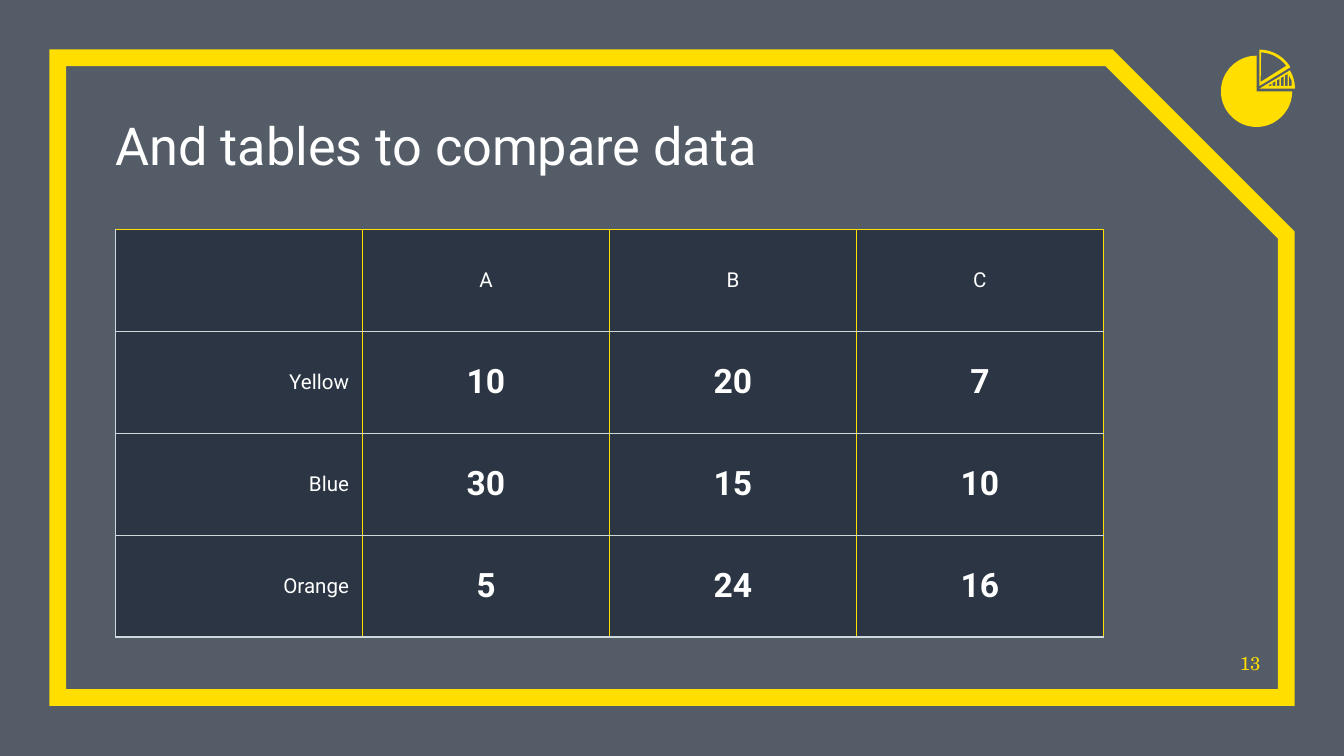
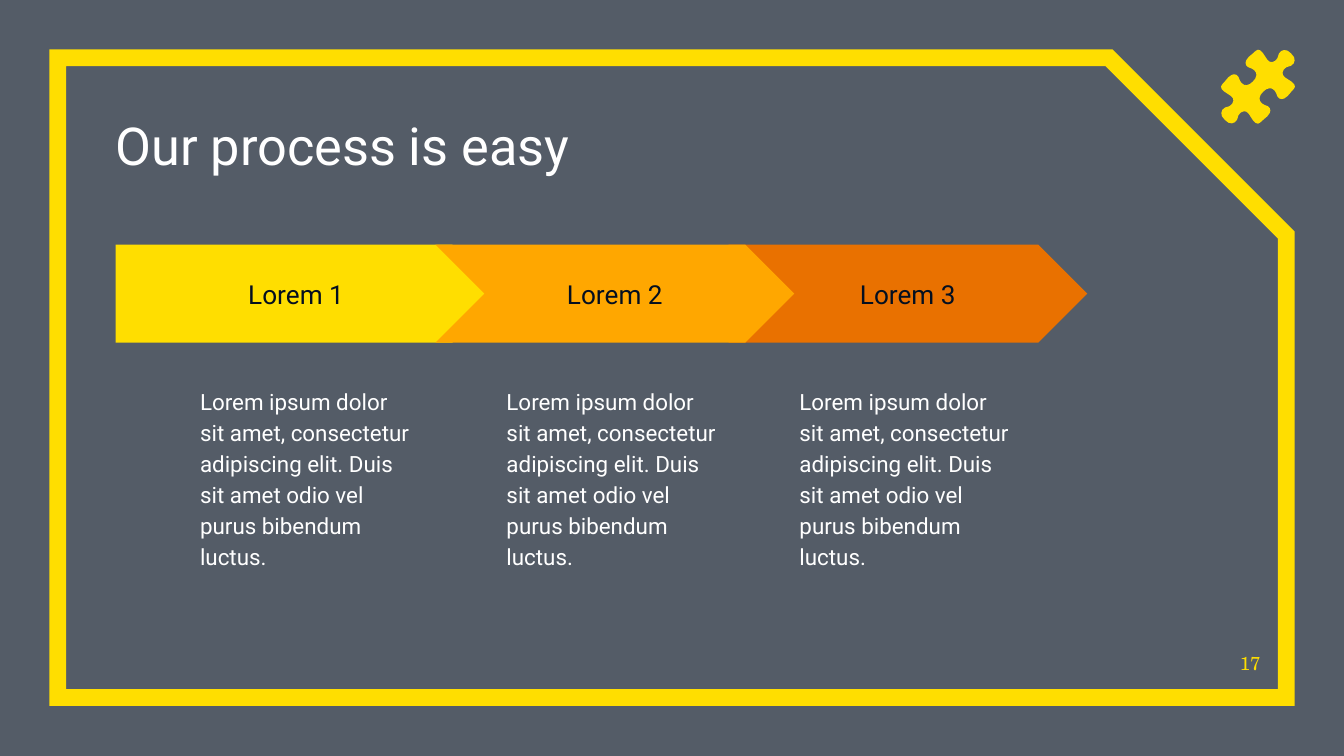
from math import cos, radians, sin

from lxml import etree
from pptx import Presentation
from pptx.dml.color import RGBColor
from pptx.enum.shapes import MSO_SHAPE
from pptx.enum.text import MSO_ANCHOR, MSO_AUTO_SIZE, PP_ALIGN
from pptx.oxml import parse_xml
from pptx.oxml.ns import nsdecls, qn
from pptx.util import Inches, Pt

SLATE = RGBColor(0x54, 0x5C, 0x67)
NAVY = RGBColor(0x04, 0x0F, 0x20)
WHITE = RGBColor(0xFF, 0xFF, 0xFF)
SILVER = RGBColor(0xCF, 0xD8, 0xDC)
YELLOW = RGBColor(0xFF, 0xDE, 0x00)
AMBER = RGBColor(0xFF, 0xA7, 0x00)
ORANGE = RGBColor(0xE9, 0x71, 0x00)

LEFT, CENTER, RIGHT = PP_ALIGN.LEFT, PP_ALIGN.CENTER, PP_ALIGN.RIGHT
TOP, MIDDLE, BOTTOM = MSO_ANCHOR.TOP, MSO_ANCHOR.MIDDLE, MSO_ANCHOR.BOTTOM
SNIPPED, PENTAGON, CHEVRON = (MSO_SHAPE.SNIP_1_RECTANGLE, MSO_SHAPE.PENTAGON,
                              MSO_SHAPE.CHEVRON)

SLIDE_W, SLIDE_H = 10, 5.625
EDGE = 0.43
CONTENT_X, CONTENT_W = 2 * EDGE, 7.35
STEP_Y, STEP_H = 1.82, 0.73
CAPTION_Y, CAPTION_W, CAPTION_H = 2.76, 1.81, 1.56
TITLE_ONLY = 5
ICON_UNITS = 1000

GRID = [
    ["", "A", "B", "C"],
    ["Yellow", "10", "20", "7"],
    ["Blue", "30", "15", "10"],
    ["Orange", "5", "24", "16"],
]
CAPTION = ("Lorem ipsum dolor sit amet, consectetur adipiscing elit. "
           "Duis sit amet odio vel purus bibendum luctus.")
# Back to front: the second step overlaps both of its neighbours.
STEPS = [
    ("Lorem 3", CHEVRON, 5.42, 2.67, ORANGE),
    ("Lorem 1", PENTAGON, CONTENT_X, 2.87, YELLOW),
    ("Lorem 2", CHEVRON, 3.24, 2.67, AMBER),
]

# Eighths of the puzzle piece, in thousandths of an inch from its centre.
PUZZLE_CENTER = (9.36, 0.645)
SOCKET = [(0, -275), (-15, -268), (-35, -250), (-70, -220), (-88, -195),
          (-92, -178), (-88, -160), (-75, -146), (-45, -134), (-28, -123),
          (-14, -104), (-12, -85), (-20, -60), (-38, -38)]
KNOB = [(-275, 0), (-270, 17), (-250, 37), (-200, 70), (-186, 87),
        (-183, 105), (-192, 128), (-212, 145), (-245, 155), (-265, 172),
        (-273, 195), (-268, 220), (-247, 247)]


def box(x, y, w, h):
    return [Inches(length) for length in (x, y, w, h)]


def write(frame, text, size=12, color=WHITE, font="Roboto", bold=False,
          align=LEFT, anchor=TOP, inset=0.1, spacing=None):
    frame.word_wrap = True
    frame.auto_size = MSO_AUTO_SIZE.NONE
    frame.vertical_anchor = anchor
    frame.margin_left = frame.margin_right = Inches(inset)
    frame.margin_top = frame.margin_bottom = Inches(inset)
    paragraph = frame.paragraphs[0]
    paragraph.alignment = align
    paragraph.line_spacing = spacing
    run = paragraph.add_run()
    run.text = text
    run.font.size, run.font.name, run.font.bold = Pt(size), font, bold
    run.font.color.rgb = color
    return run


def add_label(slide, place, text, **style):
    label = slide.shapes.add_textbox(*box(*place))
    return write(label.text_frame, text, **style)


def paint(shape, color):
    shape.shadow.inherit = False
    shape.fill.solid()
    shape.fill.fore_color.rgb = color
    shape.line.fill.background()


def add_frame(slide):
    frame = slide.shapes.add_shape(
        SNIPPED, *box(EDGE, EDGE, SLIDE_W - 2 * EDGE, 4.76))
    frame.adjustments[0] = 0.277
    frame.shadow.inherit = False
    frame.fill.background()
    frame.line.color.rgb = YELLOW
    frame.line.width = Pt(9)
    outline = frame.element.spPr.find(qn("a:ln"))
    etree.SubElement(outline, qn("a:miter"), lim="800000")


def add_text_shadow(run):
    fill = run.font.element.find(qn("a:solidFill")) if hasattr(
        run.font, "element") else run._r.rPr.find(qn("a:solidFill"))
    fill.addnext(parse_xml(
        f'<a:effectLst {nsdecls("a")}>'
        '<a:outerShdw blurRad="57150" dist="19050" dir="5400000">'
        f'<a:srgbClr val="{NAVY}"><a:alpha val="50000"/></a:srgbClr>'
        '</a:outerShdw></a:effectLst>'))


def start_slide(prs, heading, number):
    """Add a slide with the shared frame, title and page number."""
    slide = prs.slides.add_slide(prs.slide_layouts[TITLE_ONLY])
    title = slide.shapes.title
    title.left, title.top, title.width, title.height = box(
        CONTENT_X, 0.78, CONTENT_W, 0.53)
    add_text_shadow(write(title.text_frame, heading, size=28,
                          anchor=BOTTOM, inset=0))
    add_frame(slide)
    add_label(slide, (9.11, 4.74, 0.27, 0.28), number, size=10, color=YELLOW,
              font="TeX Gyre Schola", align=RIGHT, anchor=BOTTOM, inset=0)
    return slide


def style_cell(cell, borders):
    """Give a cell a half-clear fill and borders in the order L, R, T, B."""
    cell.fill.solid()
    cell.fill.fore_color.rgb = NAVY
    properties = cell._tc.tcPr
    tint = properties.find(f'{qn("a:solidFill")}/{qn("a:srgbClr")}')
    etree.SubElement(tint, qn("a:alpha"), val="50000")
    for position, (side, color) in enumerate(zip("LRTB", borders)):
        properties.insert(position, parse_xml(
            f'<a:ln{side} {nsdecls("a")} w="{Pt(0.75)}"><a:solidFill>'
            f'<a:srgbClr val="{color}"/></a:solidFill></a:ln{side}>'))


def add_grid(slide, rows):
    table = slide.shapes.add_table(
        len(rows), len(rows[0]), *box(CONTENT_X, 1.71, CONTENT_W, 3.03)).table
    table.first_row = table.horz_banding = False
    for r, row in enumerate(rows):
        for c, text in enumerate(row):
            cell = table.cell(r, c)
            style_cell(cell, (YELLOW if c else SILVER, YELLOW,
                              SILVER if r else YELLOW, SILVER))
            cell.vertical_anchor = MIDDLE
            cell.margin_left = cell.margin_right = Inches(0.1)
            cell.margin_top = cell.margin_bottom = Inches(0.07)
            if text:
                is_value = r > 0 and c > 0
                write_cell(cell, text, 18 if is_value else 11, is_value,
                           CENTER if c else RIGHT)


def write_cell(cell, text, size, bold, align):
    paragraph = cell.text_frame.paragraphs[0]
    paragraph.alignment = align
    run = paragraph.add_run()
    run.text = text
    run.font.size, run.font.name, run.font.bold = Pt(size), "Roboto", bold
    run.font.color.rgb = WHITE


def add_outline(slide, *contours):
    """Draw closed contours in inches as one shape; inner ones are holes."""
    scaled = [[(x * ICON_UNITS, y * ICON_UNITS) for x, y in contour]
              for contour in contours]
    builder = slide.shapes.build_freeform(
        *scaled[0][0], scale=Inches(1) / ICON_UNITS)
    for index, contour in enumerate(scaled):
        if index:
            builder.move_to(*contour[0])
        builder.add_line_segments(contour[1:], close=True)
    paint(builder.convert_to_shape(), YELLOW)


def arc(center, radius, start, end, steps=48):
    angles = [radians(start + (end - start) * i / steps)
              for i in range(steps + 1)]
    return [(center[0] + radius * cos(a), center[1] + radius * sin(a))
            for a in angles]


def add_pie_icon(slide):
    pie, hatched, hollow = (9.35, 0.68), (9.37, 0.66), (9.37, 0.64)
    add_outline(slide, [pie] + arc(pie, 0.265, 0, -270 + 360 - 360 + 540))

    def slope(x):
        return 0.64 - 0.6 * (x - 9.43)

    base = 0.64
    gaps = [[(x, base), (x, slope(x)), (x + 0.02, slope(x + 0.02)),
             (x + 0.02, base)] for x in (9.47, 9.5, 9.53, 9.56)]
    tip = [(9.43, base), (9.46, slope(9.46)), (9.46, base)]
    rim = [(9.59, base), (9.59, 0.56), (9.6, 0.58), (9.61, 0.6), (9.61, base)]
    add_outline(slide, [hatched] + arc(hatched, 0.265, -31, 0),
                tip, *gaps, rim)
    add_outline(slide, [hollow] + arc(hollow, 0.27, -90, -31),
                [(9.38, 0.61)] + arc(hollow, 0.25, -87, -37))


def add_puzzle_icon(slide):
    socket = SOCKET + [(y, x) for x, y in reversed(SOCKET[:-1])]
    knob = KNOB + [(-y, -x) for x, y in reversed(KNOB[:-1])]
    half = socket + knob[1:-1]
    outline = half + [(-x, -y) for x, y in half]
    center_x, center_y = PUZZLE_CENTER
    add_outline(slide, [(center_x + x / 1000, center_y + y / 1000)
                        for x, y in outline])


def add_step(slide, name, kind, x, width, color):
    step = slide.shapes.add_shape(kind, *box(x, STEP_Y, width, STEP_H))
    step.adjustments[0] = 0.5
    paint(step, color)
    write(step.text_frame, name, size=14, color=NAVY,
          align=CENTER, anchor=MIDDLE)
    caption_x = x + (width - CAPTION_W) / 2
    add_label(slide, (caption_x, CAPTION_Y, CAPTION_W, CAPTION_H), CAPTION,
              spacing=1.15)


def main():
    prs = Presentation()
    prs.slide_width, prs.slide_height = Inches(SLIDE_W), Inches(SLIDE_H)
    backdrop = prs.slide_master.background.fill
    backdrop.solid()
    backdrop.fore_color.rgb = SLATE

    comparison = start_slide(prs, "And tables to compare data", "13")
    add_grid(comparison, GRID)
    add_pie_icon(comparison)

    process = start_slide(prs, "Our process is easy", "17")
    add_puzzle_icon(process)
    for step in STEPS:
        add_step(process, *step)

    prs.save("out.pptx")


if __name__ == "__main__":
    main()
